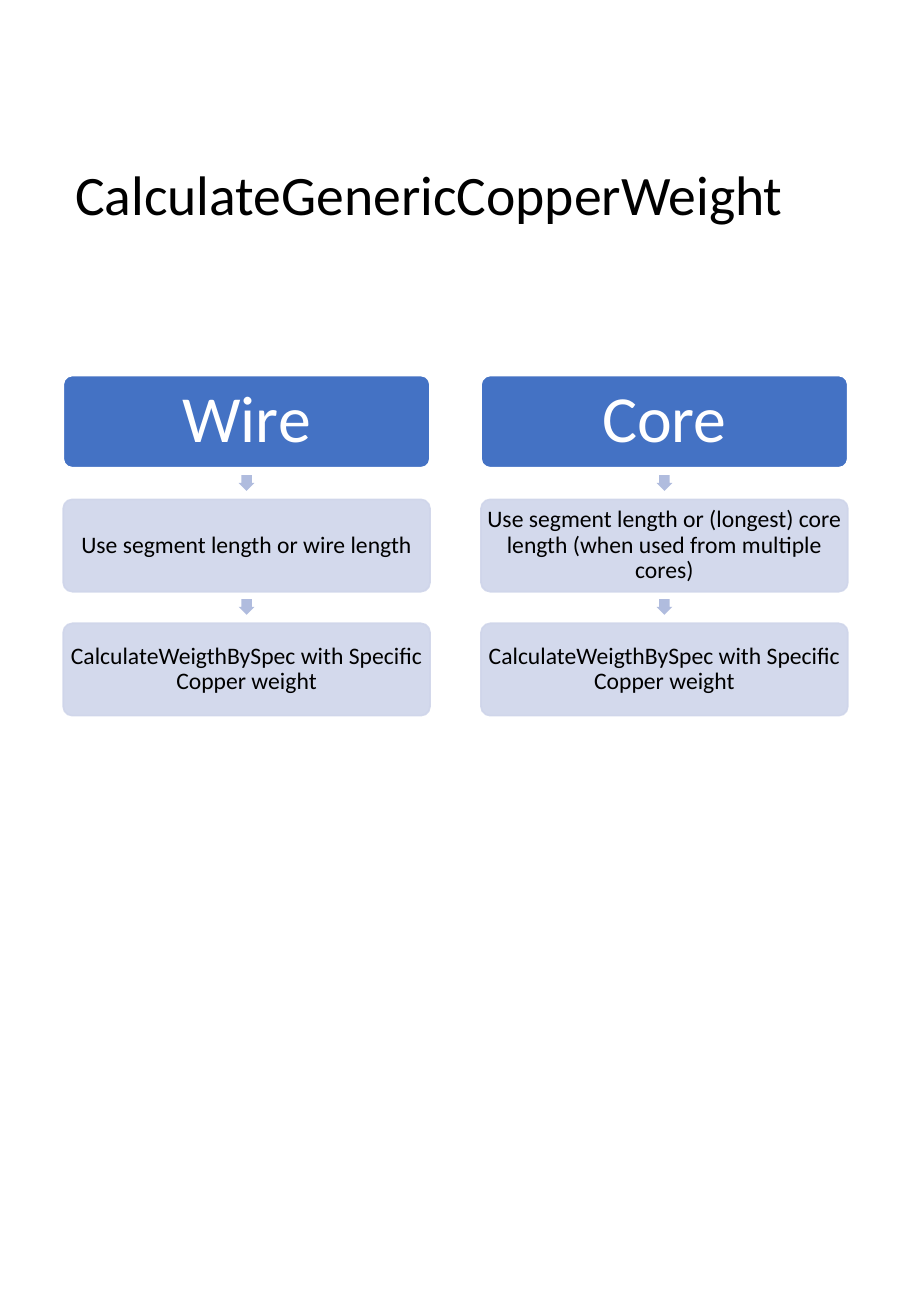
import pptx
import pptx.dml.color
import pptx.enum.shapes
import pptx.enum.text
import pptx.oxml.ns
import pptx.util
import lxml.etree

RGBColor = pptx.dml.color.RGBColor
Inches = pptx.util.Inches
Shapes = pptx.enum.shapes.MSO_SHAPE
Align = pptx.enum.text.PP_ALIGN

WHITE = RGBColor(0xFF, 0xFF, 0xFF)
BLACK = RGBColor(0x00, 0x00, 0x00)
BLUE = RGBColor(0x44, 0x72, 0xC4)
PALE = RGBColor(0xCF, 0xD5, 0xEA)
ARROW = RGBColor(0xB0, 0xBC, 0xDE)

PARTS = {
    "Wire": [
        "Use segment length or wire length",
        "CalculateWeigthBySpec with Specific Copper weight",
    ],
    "Core": [
        "Use segment length or (longest) core length (when used from multiple cores)",
        "CalculateWeigthBySpec with Specific Copper weight",
    ],
}


class WeightSlide:
    font = "Calibri"
    left, top = 0.52, 3.09
    column_pitch, row_pitch = 3.44, 1.02
    box_width, box_height = 3.02, 0.76
    arrow_size = 0.13

    def __init__(self, slide):
        self.slide = slide

    def cell(self, column, row):
        return self.left + column * self.column_pitch, self.top + row * self.row_pitch

    def label(self, holder, text, size, color, align):
        frame = holder.text_frame
        frame.text = text
        frame.word_wrap = True
        frame.vertical_anchor = pptx.enum.text.MSO_ANCHOR.MIDDLE
        paragraph = frame.paragraphs[0]
        paragraph.alignment = align
        paragraph.line_spacing = 0.9
        font = paragraph.runs[0].font
        font.name, font.size = self.font, pptx.util.Pt(size)
        font.color.rgb = color

    def title(self, text):
        heading = self.slide.shapes.add_textbox(
            Inches(self.left), Inches(0.58), Inches(6.47), Inches(2.09))
        self.label(heading, text, 33, BLACK, Align.LEFT)

    def shape(self, preset, x, y, width, height, fill):
        shape = self.slide.shapes.add_shape(
            preset, Inches(x), Inches(y), Inches(width), Inches(height))
        shape.shadow.inherit = False
        shape.fill.solid()
        shape.fill.fore_color.rgb = fill
        return shape

    def box(self, column, row, text, size, fill, line, color, inset):
        box = self.shape(Shapes.ROUNDED_RECTANGLE, *self.cell(column, row),
                         self.box_width, self.box_height, fill)
        box.adjustments[0] = 0.1
        box.line.color.rgb = line
        box.line.width = pptx.util.Pt(1)
        frame = box.text_frame
        frame.margin_left = frame.margin_right = Inches(inset)
        frame.margin_top = frame.margin_bottom = Inches(inset)
        self.label(box, text, size, color, Align.CENTER)
        return box

    def header(self, column, text):
        self.box(column, 0, text, 39, BLUE, WHITE, WHITE, 0.05)

    def step(self, column, row, text):
        step = self.box(column, row, text, 14, PALE, PALE, BLACK, 0.02)
        qn = pptx.oxml.ns.qn
        properties = step.element.spPr
        for color in properties.iter(qn("a:srgbClr")):
            lxml.etree.SubElement(color, qn("a:alpha"), val="90000")

    def arrow(self, column, row):
        x, y = self.cell(column, row)
        arrow = self.shape(
            Shapes.RIGHT_ARROW, x + (self.box_width - self.arrow_size) / 2,
            y + 0.82, self.arrow_size, self.arrow_size, ARROW)
        arrow.rotation = 90
        arrow.adjustments[0] = 0.67
        arrow.adjustments[1] = 0.5
        arrow.line.fill.background()


def main():
    deck = pptx.Presentation()
    deck.slide_width, deck.slide_height = Inches(7.5), Inches(10.83)
    weights = WeightSlide(deck.slides.add_slide(deck.slide_layouts[6]))
    weights.title("CalculateGenericCopperWeight")
    for column, (part, steps) in enumerate(PARTS.items()):
        weights.header(column, part)
        for row, step in enumerate(steps, start=1):
            weights.arrow(column, row - 1)
            weights.step(column, row, step)
    deck.save("out.pptx")


if __name__ == "__main__":
    main()
